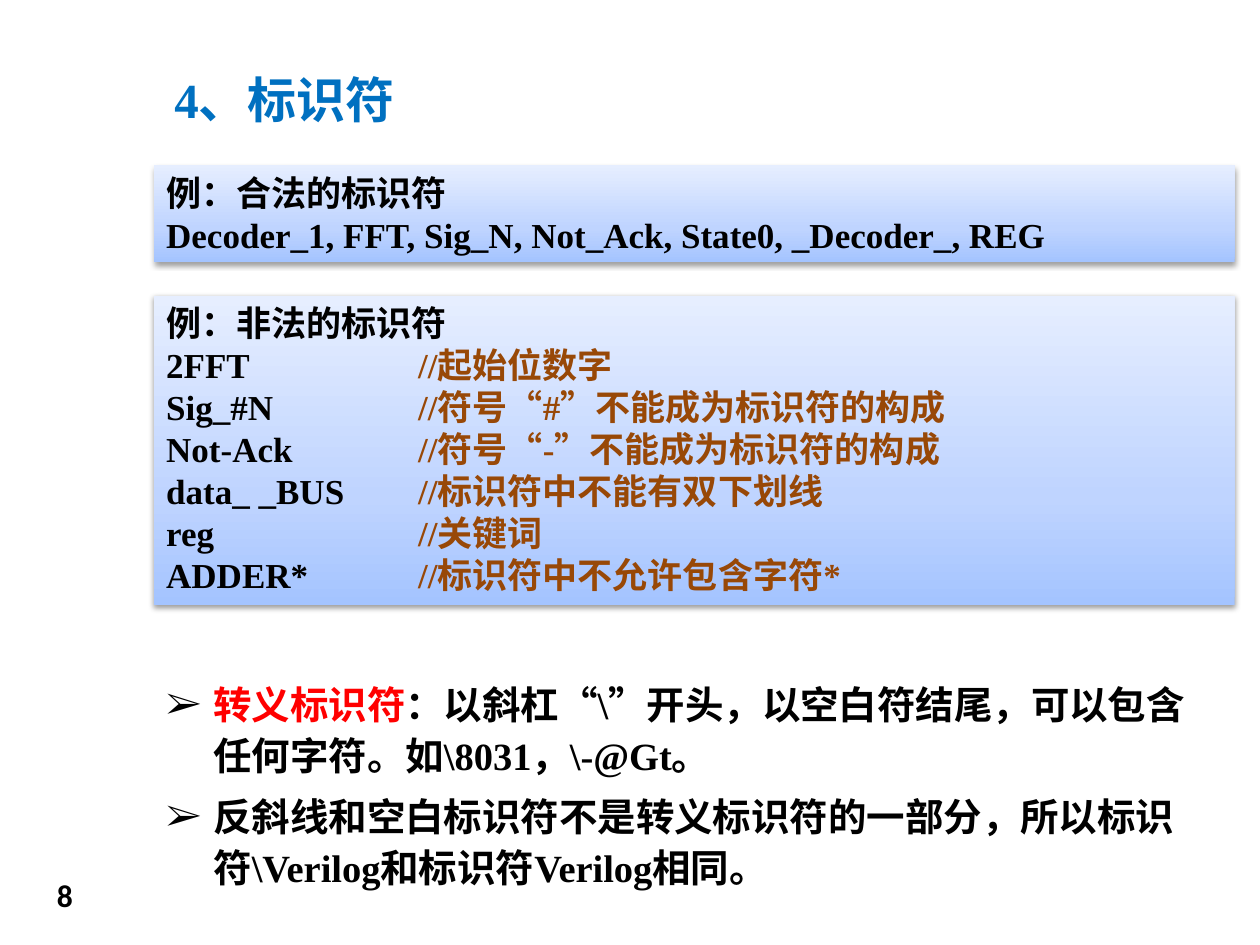
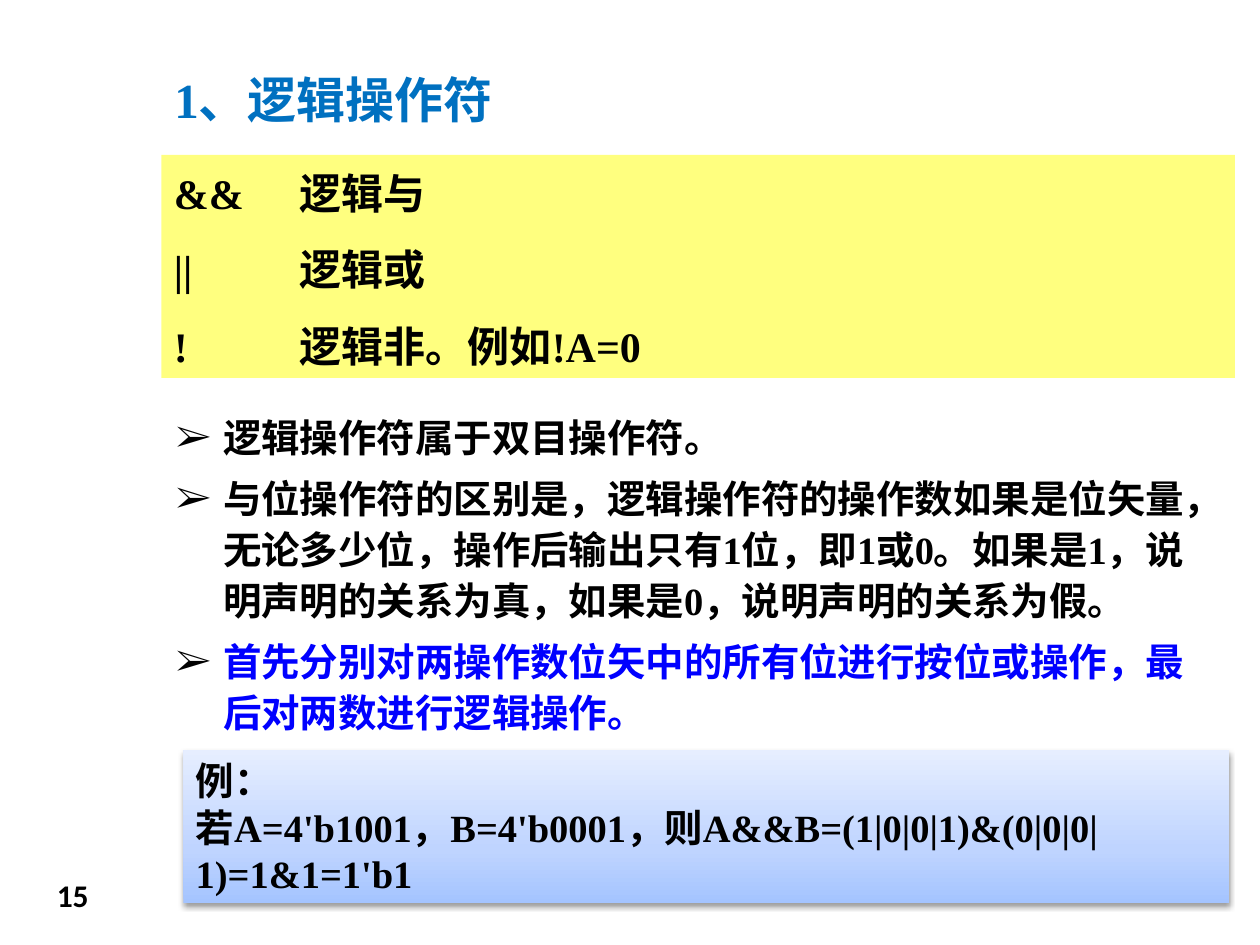
import pptx
import pptx.dml.color
import pptx.enum.lang
import pptx.enum.shapes
import pptx.enum.text
import pptx.oxml
import pptx.oxml.ns
import pptx.util
from dataclasses import dataclass
from typing import Any, Optional

BLACK = "000000"
RED = "FF0000"
BLUE = "0000FF"
BROWN = "984807"
TITLE_BLUE = "0070C0"
YELLOW = "FFFF00"
SERIF = "Times New Roman"
NAMESPACE = pptx.oxml.ns.nsdecls("a")
TOP = pptx.enum.text.MSO_ANCHOR.TOP
MIDDLE = pptx.enum.text.MSO_ANCHOR.MIDDLE
TAB_WIDTH = pptx.util.Pt(72)

GRADIENT = f"""<a:gradFill {NAMESPACE} rotWithShape="1"><a:gsLst>
<a:gs pos="0"><a:srgbClr val="A4C4FF"/></a:gs>
<a:gs pos="35000"><a:srgbClr val="BFD4FF"/></a:gs>
<a:gs pos="100000"><a:srgbClr val="E6EEFF"/></a:gs>
</a:gsLst><a:lin ang="16200000" scaled="1"/></a:gradFill>"""
SHADOW = f"""<a:effectLst {NAMESPACE}>
<a:outerShdw blurRad="40000" dist="20000" dir="5400000" rotWithShape="0">
<a:srgbClr val="000000"><a:alpha val="38000"/></a:srgbClr></a:outerShdw></a:effectLst>"""


@dataclass(frozen=True)
class Span:
    text: str
    color: str = BLACK


@dataclass(frozen=True)
class Area:
    left: float
    top: float
    width: float
    height: float

    def lengths(self) -> list[pptx.util.Pt]:
        return [pptx.util.Pt(value) for value in (self.left, self.top, self.width, self.height)]


@dataclass(frozen=True)
class TextStyle:
    size: float
    font: str = SERIF
    anchor: Any = TOP
    line_spacing: Optional[float] = None
    space_after: float = 0
    bulleted: bool = False
    grows: bool = True


Line = list[Span]

TITLE_AREA = Area(92.6, 36, 601.92, 41.04)
NUMBER_AREA = Area(25.4, 496.8, 45.36, 32.4)
TITLE_STYLE = TextStyle(28, anchor=MIDDLE)
NUMBER_STYLE = TextStyle(18, font="Calibri", grows=False)
EXAMPLE_STYLE = TextStyle(20)
RESULT_STYLE = TextStyle(22, anchor=MIDDLE)
OPERATOR_STYLE = TextStyle(24, anchor=MIDDLE, line_spacing=1.1, space_after=12)
BULLET_STYLE = TextStyle(22, line_spacing=1.1, space_after=6, bulleted=True)

ILLEGAL_NAMES = [
    ("2FFT\t\t", "起始位数字"),
    ("Sig_#N\t\t", "符号“#”不能成为标识符的构成"),
    ("Not-Ack\t", "符号“-”不能成为标识符的构成"),
    ("data_ _BUS\t", "标识符中不能有双下划线"),
    ("reg\t\t", "关键词"),
    ("ADDER*\t", "标识符中不允许包含字符*"),
]
OPERATORS = [("&&", "逻辑与"), ("||", "逻辑或"), ("!", "逻辑非。例如!A=0")]


def rgb(value: str) -> pptx.dml.color.RGBColor:
    return pptx.dml.color.RGBColor.from_string(value)


def add_span(para: Any, text: str, *, size: float, font: str, color: str) -> None:
    span = para.add_run()
    span.text = text
    span.font.size = pptx.util.Pt(size)
    span.font.name = font
    span.font.bold = True
    span.font.color.rgb = rgb(color)
    span.font.language_id = pptx.enum.lang.MSO_LANGUAGE_ID.SIMPLIFIED_CHINESE


def add_bullet(para: Any) -> None:
    properties = para._p.get_or_add_pPr()
    indent = pptx.util.Pt(27)
    properties.set("marL", str(indent))
    properties.set("indent", str(-indent))
    for xml in (
        f'<a:buClr {NAMESPACE}><a:srgbClr val="{BLACK}"/></a:buClr>',
        f'<a:buFont {NAMESPACE} typeface="{SERIF}"/>',
        f'<a:buChar {NAMESPACE} char="➢"/>',
    ):
        properties.append(pptx.oxml.parse_xml(xml))


def fill_text(box: Any, lines: list[Line], style: TextStyle) -> None:
    frame = box.text_frame
    frame.word_wrap = True
    frame.vertical_anchor = style.anchor
    if style.grows:
        frame.auto_size = pptx.enum.text.MSO_AUTO_SIZE.SHAPE_TO_FIT_TEXT
    for index, line in enumerate(lines):
        para = frame.add_paragraph() if index else frame.paragraphs[0]
        para.alignment = pptx.enum.text.PP_ALIGN.LEFT
        para.space_after = pptx.util.Pt(style.space_after)
        para._p.get_or_add_pPr().set("defTabSz", str(TAB_WIDTH))
        if style.line_spacing:
            para.line_spacing = style.line_spacing
        if style.bulleted:
            add_bullet(para)
        for span in line:
            add_span(para, span.text, size=style.size, font=style.font, color=span.color)


def add_text(page: Any, area: Area, lines: list[Line], style: TextStyle) -> None:
    fill_text(page.shapes.add_textbox(*area.lengths()), lines, style)


def add_panel(page: Any, area: Area, lines: list[Line], style: TextStyle) -> Any:
    box = page.shapes.add_shape(pptx.enum.shapes.MSO_SHAPE.RECTANGLE, *area.lengths())
    box.line.fill.background()
    fill_text(box, lines, style)
    return box


def add_example(page: Any, area: Area, lines: list[Line], style: TextStyle) -> None:
    properties = add_panel(page, area, lines, style)._element.spPr
    properties.find(pptx.oxml.ns.qn("a:prstGeom")).addnext(pptx.oxml.parse_xml(GRADIENT))
    properties.append(pptx.oxml.parse_xml(SHADOW))


def add_operator_panel(page: Any, area: Area, lines: list[Line]) -> None:
    box = add_panel(page, area, lines, OPERATOR_STYLE)
    box.shadow.inherit = False
    box.fill.solid()
    box.fill.fore_color.rgb = rgb(YELLOW)
    color = box._element.spPr.find(".//" + pptx.oxml.ns.qn("a:srgbClr"))
    color.append(pptx.oxml.parse_xml(f'<a:alpha {NAMESPACE} val="50000"/>'))


def add_page(deck: Any, title: str, number: int) -> Any:
    page = deck.slides.add_slide(deck.slide_layouts[6])
    add_text(page, TITLE_AREA, [[Span(title, TITLE_BLUE)]], TITLE_STYLE)
    add_text(page, NUMBER_AREA, [[Span(str(number))]], NUMBER_STYLE)
    return page


def build_identifiers(deck: Any) -> None:
    page = add_page(deck, "4、标识符", 8)
    legal = [
        [Span("例：合法的标识符")],
        [Span("Decoder_1, FFT, Sig_N, Not_Ack, State0, _Decoder_, REG")],
    ]
    illegal = [[Span("例：非法的标识符")]] + [
        [Span(name), Span("//" + reason, BROWN)] for name, reason in ILLEGAL_NAMES
    ]
    escaped = [
        [
            Span("转义标识符", RED),
            Span("：以斜杠“\\”开头，以空白符结尾，可以包含任何字符。如\\8031，\\-@Gt。"),
        ],
        [Span("反斜线和空白标识符不是转义标识符的一部分，所以标识符\\Verilog和标识符Verilog相同。")],
    ]
    add_example(page, Area(87.84, 94.32, 617.76, 55.44), legal, EXAMPLE_STYLE)
    add_example(page, Area(87.84, 168.9, 617.76, 177.12), illegal, EXAMPLE_STYLE)
    add_text(page, Area(87.84, 383.04, 607.68, 130.32), escaped, BULLET_STYLE)


def build_logic_operators(deck: Any) -> None:
    page = add_page(deck, "1、逻辑操作符", 15)
    rules = [
        [Span("逻辑操作符属于双目操作符。")],
        [Span(
            "与位操作符的区别是，逻辑操作符的操作数如果是位矢量，无论多少位，操作后输出只有1位，"
            "即1或0。如果是1，说明声明的关系为真，如果是0，说明声明的关系为假。"
        )],
        [Span("首先分别对两操作数位矢中的所有位进行按位或操作，最后对两数进行逻辑操作。", BLUE)],
    ]
    result = [
        [Span("例：")],
        [Span("若A=4'b1001，B=4'b0001，则A&&B=(1|0|0|1)&(0|0|0|1)=1&1=1'b1")],
    ]
    operators = [[Span(f"{symbol}\t{meaning}")] for symbol, meaning in OPERATORS]
    add_text(page, Area(93.4, 230.4, 607.68, 195.12), rules, BULLET_STYLE)
    add_operator_panel(page, Area(92.2, 88.56, 613.44, 127.44), operators)
    add_example(page, Area(104.8, 428.8, 597.6, 87.12), result, RESULT_STYLE)


def main() -> None:
    deck = pptx.Presentation()
    deck.slide_width = pptx.util.Pt(720)
    deck.slide_height = pptx.util.Pt(540)
    build_identifiers(deck)
    build_logic_operators(deck)
    deck.save("out.pptx")


if __name__ == "__main__":
    main()
